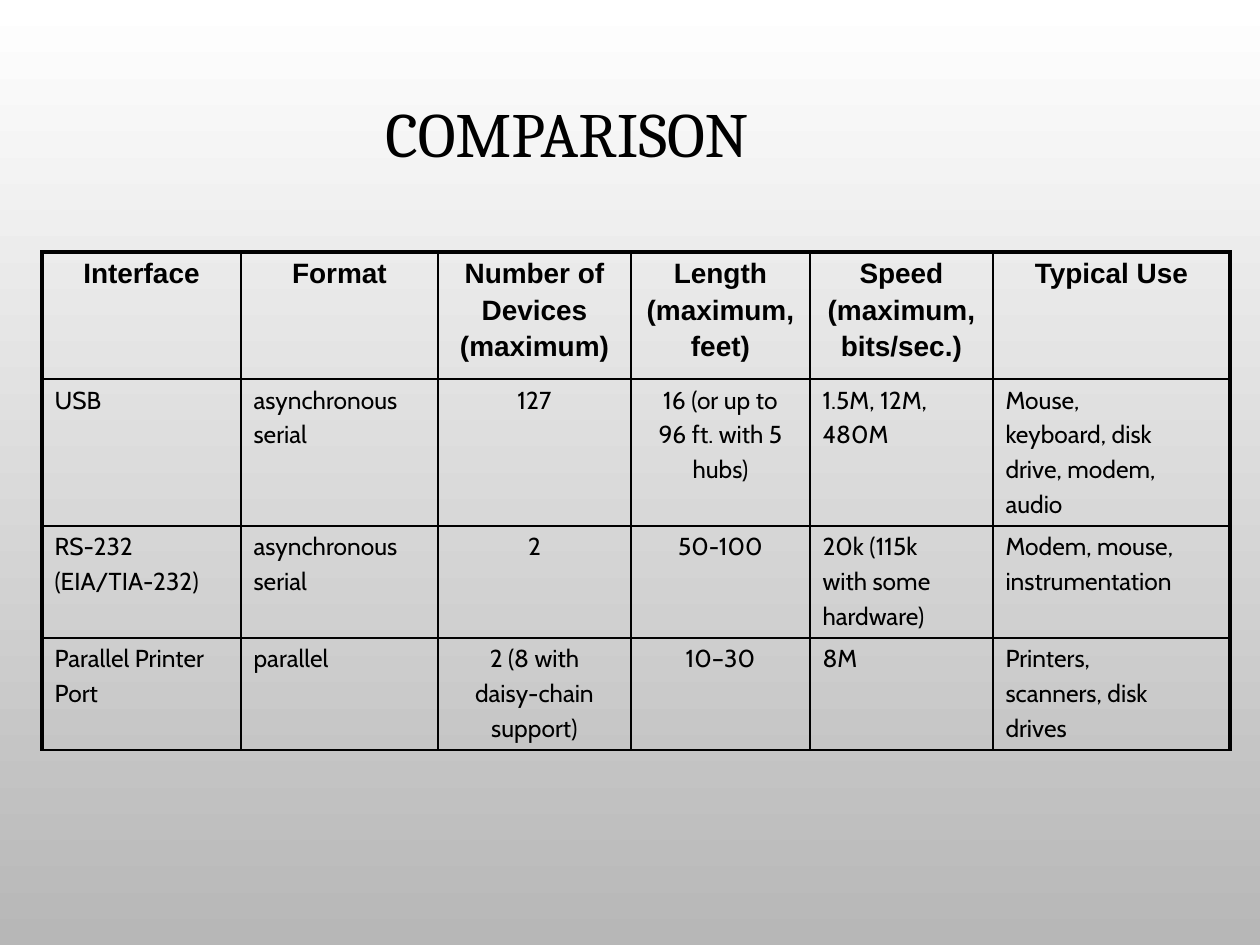
import pptx
import pptx.util
import pptx.dml.color
import pptx.enum.text
import pptx.oxml
import pptx.oxml.ns

SCALE = 914400 / 126
COLORS = {"text": "000000", "border": "000000", "top": "FFFFFF", "bottom": "B7B7B7"}
COLUMNS = [199, 197, 193, 179, 183, 237]
ROWS = [127, 147, 112, 112]
CENTERED_COLUMNS = (2, 3)
INTERFACES = [
    ["Interface", "Format", "Number of\nDevices\n(maximum)", "Length\n(maximum,\nfeet)",
     "Speed\n(maximum,\nbits/sec.)", "Typical Use"],
    ["USB", "asynchronous\nserial", "127", "16 (or up to\n96 ft. with 5\nhubs)",
     "1.5M, 12M,\n480M", "Mouse,\nkeyboard, disk\ndrive, modem,\naudio"],
    ["RS-232\n(EIA/TIA-232)", "asynchronous\nserial", "2", "50-100",
     "20k (115k\nwith some\nhardware)", "Modem, mouse,\ninstrumentation"],
    ["Parallel Printer\nPort", "parallel", "2 (8 with\ndaisy-chain\nsupport)", "10–30",
     "8M", "Printers,\nscanners, disk\ndrives"],
]


def px(n):
    return pptx.util.Emu(round(n * SCALE))


def rgb(name):
    return pptx.dml.color.RGBColor.from_string(COLORS[name])


def format_text(tf, font, size, bold, centered):
    align = pptx.enum.text.PP_ALIGN
    for p in tf.paragraphs:
        p.alignment = align.CENTER if centered else align.LEFT
        for r in p.runs:
            r.font.name = font
            r.font.size = pptx.util.Pt(size)
            r.font.bold = bold
            r.font.color.rgb = rgb("text")


def set_border(cell, side, width):
    ln = pptx.oxml.parse_xml(
        f'<a:ln{side} {pptx.oxml.ns.nsdecls("a")} w="{pptx.util.Pt(width)}">'
        f'<a:solidFill><a:srgbClr val="{COLORS["border"]}"/></a:solidFill></a:ln{side}>')
    cell._tc.get_or_add_tcPr().append(ln)


def add_background(s):
    fill = s.background.fill
    fill.gradient()
    fill.gradient_angle = 270
    for stop, name in zip(fill.gradient_stops, ("top", "bottom")):
        stop.color.rgb = rgb(name)


def add_title(s, x, y, w, h):
    sp = s.shapes.title
    sp.left, sp.top, sp.width, sp.height = px(x), px(y), px(w), px(h)
    tf = sp.text_frame
    tf.text = "COMPARISON"
    tf.vertical_anchor = pptx.enum.text.MSO_ANCHOR.MIDDLE
    tf.paragraphs[0].line_spacing = 0.9
    format_text(tf, "Cambria", 36, False, True)


def add_comparison(s, x, y):
    table = s.shapes.add_table(len(ROWS), len(COLUMNS), px(x), px(y),
                               px(sum(COLUMNS)), px(sum(ROWS))).table
    table.first_row = table.horz_banding = False
    for column, width in zip(table.columns, COLUMNS):
        column.width = px(width)
    for row, height in zip(table.rows, ROWS):
        row.height = px(height)
    for i, texts in enumerate(INTERFACES):
        header = i == 0
        font, size = ("Arial", 16) if header else ("Cabin", 14)
        for j, text in enumerate(texts):
            cell = table.cell(i, j)
            tf = cell.text_frame
            tf.text = text
            format_text(tf, font, size, header, header or j in CENTERED_COLUMNS)
            for p in tf.paragraphs[1:]:
                p.space_before = pptx.util.Pt(size * 0.2)
            outer = {"L": j == 0, "R": j == len(COLUMNS) - 1, "T": header, "B": False}
            for side, thick in outer.items():
                set_border(cell, side, 2.25 if thick else 1)
            cell.fill.background()


def main():
    prs = pptx.Presentation()
    prs.slide_width, prs.slide_height = px(1260), px(945)
    s = prs.slides.add_slide(prs.slide_layouts[5])
    add_background(s)
    add_title(s, 0, 42, 1134, 190)
    add_comparison(s, 42, 252)
    prs.save("out.pptx")


if __name__ == "__main__":
    main()
